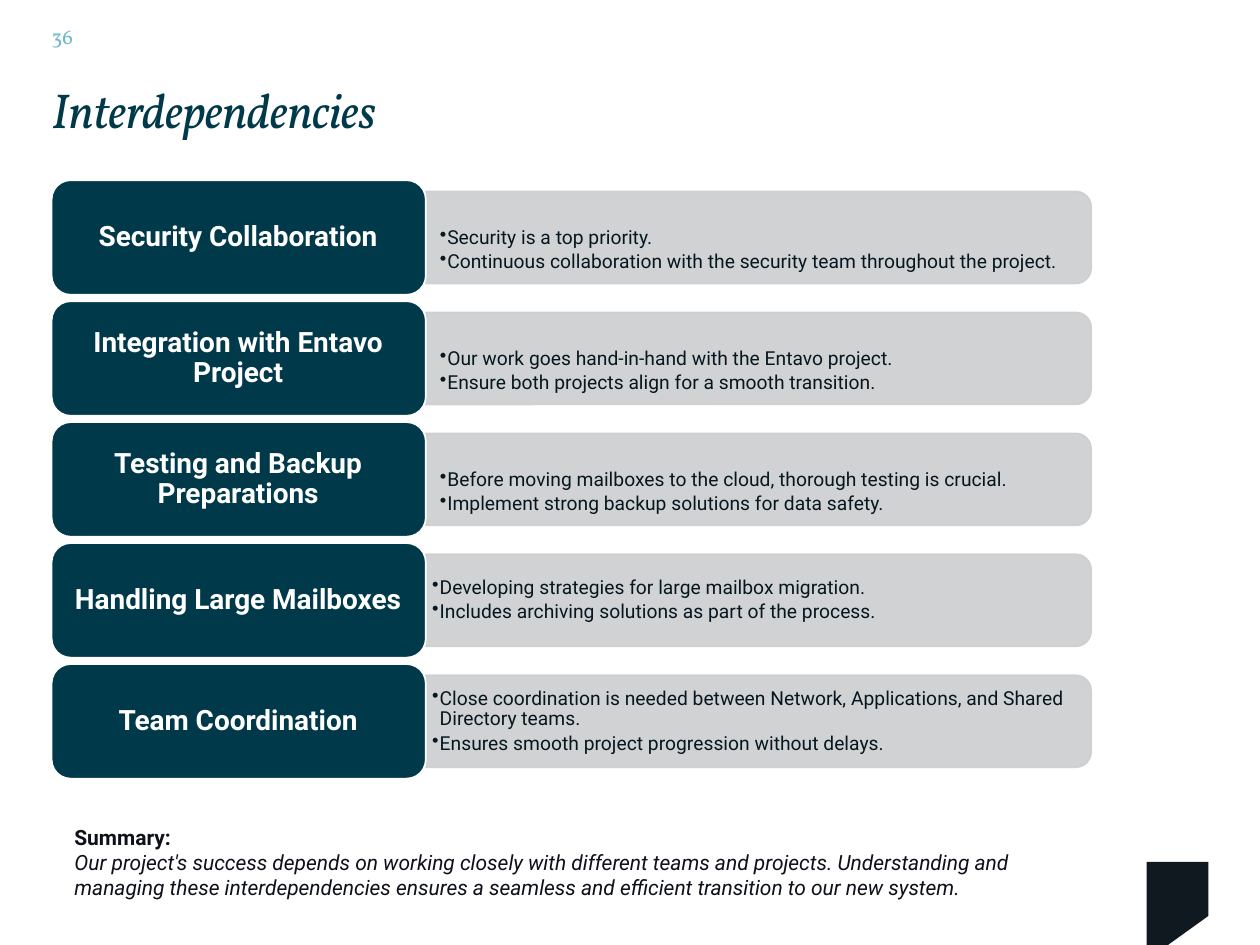
from lxml.etree import SubElement
from pptx import Presentation
from pptx.dml.color import RGBColor
from pptx.enum.shapes import MSO_SHAPE
from pptx.enum.text import MSO_ANCHOR, PP_ALIGN
from pptx.oxml.ns import qn
from pptx.util import Inches, Pt

NAVY = RGBColor(0x00, 0x39, 0x4A)
TEAL = RGBColor(0x6B, 0xB9, 0xC9)
GREY = RGBColor(0xCC, 0xCE, 0xD0)
INK = RGBColor(0x06, 0x17, 0x1F)
BLACK = RGBColor(0x0E, 0x10, 0x1A)
BADGE = RGBColor(0x10, 0x18, 0x20)
WHITE = RGBColor(0xFF, 0xFF, 0xFF)

SANS = "Roboto"
SERIF = "Vollkorn"

ROW_TOP = 1.43
ROW_STEP = 0.96
LABEL_WIDTH, LABEL_HEIGHT = 2.97, 0.91
BAND_LENGTH, BAND_HEIGHT = 5.28, 0.73
LEFT = 0.41
BAND_LEFT = LEFT + LABEL_WIDTH

# Heading, points, bullet indent, top inset of the points
ROWS = [
    ("Security Collaboration",
     ["Security is a top priority.",
      "Continuous collaboration with the security team throughout the project."],
     0.12, 0.22),
    ("Integration with Entavo Project",
     ["Our work goes hand-in-hand with the Entavo project.",
      "Ensure both projects align for a smooth transition."],
     0.12, 0.22),
    ("Testing and Backup Preparations",
     ["Before moving mailboxes to the cloud, thorough testing is crucial.",
      "Implement strong backup solutions for data safety."],
     0.12, 0.22),
    ("Handling Large Mailboxes",
     ["Developing strategies for large mailbox migration.",
      "Includes archiving solutions as part of the process."],
     0.06, 0.02),
    ("Team Coordination",
     ["Close coordination is needed between Network, Applications, and "
      "Shared Directory teams.",
      "Ensures smooth project progression without delays."],
     0.06, 0.02),
]
SUMMARY = (
    "Our project's success depends on working closely with different teams and "
    "projects. Understanding and managing these interdependencies ensures a "
    "seamless and efficient transition to our new system."
)


def add_box(page, left, top, width, height, insets=(0, 0, 0, 0),
            anchor=MSO_ANCHOR.TOP, wrap=True):
    box = page.shapes.add_textbox(
        Inches(left), Inches(top), Inches(width), Inches(height))
    frame = box.text_frame
    frame.word_wrap = wrap
    frame.vertical_anchor = anchor
    (frame.margin_left, frame.margin_top,
     frame.margin_right, frame.margin_bottom) = [Inches(i) for i in insets]
    return frame


def add_span(para, text, size, color, font=SANS, bold=False, italic=False):
    span = para.add_run()
    span.text = text
    span.font.name = font
    span.font.size = Pt(size)
    span.font.color.rgb = color
    span.font.bold = bold
    span.font.italic = italic
    return span


def next_para(frame, index):
    return frame.paragraphs[0] if index == 0 else frame.add_paragraph()


def add_bullet(para, indent):
    properties = para._p.get_or_add_pPr()
    properties.set("marL", str(Inches(indent)))
    properties.set("indent", str(-Inches(0.06)))
    SubElement(properties, qn("a:buChar")).set("char", "•")


def add_block(page, kind, left, top, width, height, fill, line):
    block = page.shapes.add_shape(
        kind, Inches(left), Inches(top), Inches(width), Inches(height))
    block.shadow.inherit = False
    block.fill.solid()
    block.fill.fore_color.rgb = fill
    block.line.color.rgb = line
    block.line.width = Pt(1)
    return block


def add_band(page, middle):
    # A tall shape turned a quarter, so its round corners face right
    center = BAND_LEFT + BAND_LENGTH / 2
    band = add_block(page, MSO_SHAPE.ROUND_2_SAME_RECTANGLE,
                     center - BAND_HEIGHT / 2, middle - BAND_LENGTH / 2,
                     BAND_HEIGHT, BAND_LENGTH, GREY, GREY)
    band.rotation = 90
    for color in band._element.spPr.iter(qn("a:srgbClr")):
        SubElement(color, qn("a:alpha")).set("val", "90000")


def add_points(page, middle, points, indent, inset_top):
    frame = add_box(page, BAND_LEFT, middle - 0.33, 5.25, 0.66,
                    (0.05, inset_top, 0.05, 0.02), MSO_ANCHOR.MIDDLE)
    for index, point in enumerate(points):
        para = next_para(frame, index)
        para.line_spacing = 0.9
        para.space_after = Pt(2)
        add_bullet(para, indent)
        add_span(para, point, 11, INK)


def add_label(page, top, heading):
    add_block(page, MSO_SHAPE.ROUNDED_RECTANGLE, LEFT, top,
              LABEL_WIDTH, LABEL_HEIGHT, NAVY, WHITE)
    frame = add_box(page, LEFT + 0.04, top + 0.04, 2.88, 0.83,
                    (0.07, 0.03, 0.07, 0.03), MSO_ANCHOR.MIDDLE)
    para = frame.paragraphs[0]
    para.alignment = PP_ALIGN.CENTER
    para.line_spacing = 0.9
    add_span(para, heading, 16, WHITE, bold=True)


def add_badge(page):
    builder = page.shapes.build_freeform(Inches(9.59), Inches(7.27))
    corners = [(9.59, 6.84), (9.1, 6.84), (9.1, 7.5), (9.27, 7.5)]
    builder.add_line_segments([(Inches(x), Inches(y)) for x, y in corners])
    badge = builder.convert_to_shape()
    badge.shadow.inherit = False
    badge.fill.solid()
    badge.fill.fore_color.rgb = BADGE
    badge.line.fill.background()


def main():
    deck = Presentation()
    deck.slide_width, deck.slide_height = Inches(10), Inches(7.5)
    page = deck.slides.add_slide(deck.slide_layouts[6])

    # Page number and corner badge
    number = add_box(page, 0.34, 0.09, 0.6, 0.4,
                     (0.07, 0.04, 0.07, 0.04), MSO_ANCHOR.MIDDLE)
    add_span(number.paragraphs[0], "36", 12, TEAL, SERIF)
    add_badge(page)

    # Title
    title = add_box(page, LEFT, 0.7, 2.94, 0.41, wrap=False)
    title.paragraphs[0].line_spacing = 0.86
    span = add_span(title.paragraphs[0], "Interdependencies", 28, NAVY,
                    SERIF, italic=True)
    span.font._element.set("spc", "-30")

    # Summary
    summary = add_box(page, 0.59, 6.54, 8.09, 0.61)
    add_span(next_para(summary, 0), "Summary:", 12, BLACK, bold=True)
    add_span(next_para(summary, 1), SUMMARY, 12, BLACK, italic=True)

    # Rows of heading and points
    for index, (heading, points, indent, inset_top) in enumerate(ROWS):
        top = ROW_TOP + index * ROW_STEP
        middle = top + LABEL_HEIGHT / 2
        add_band(page, middle)
        add_points(page, middle, points, indent, inset_top)
        add_label(page, top, heading)

    deck.save("out.pptx")


if __name__ == "__main__":
    main()
